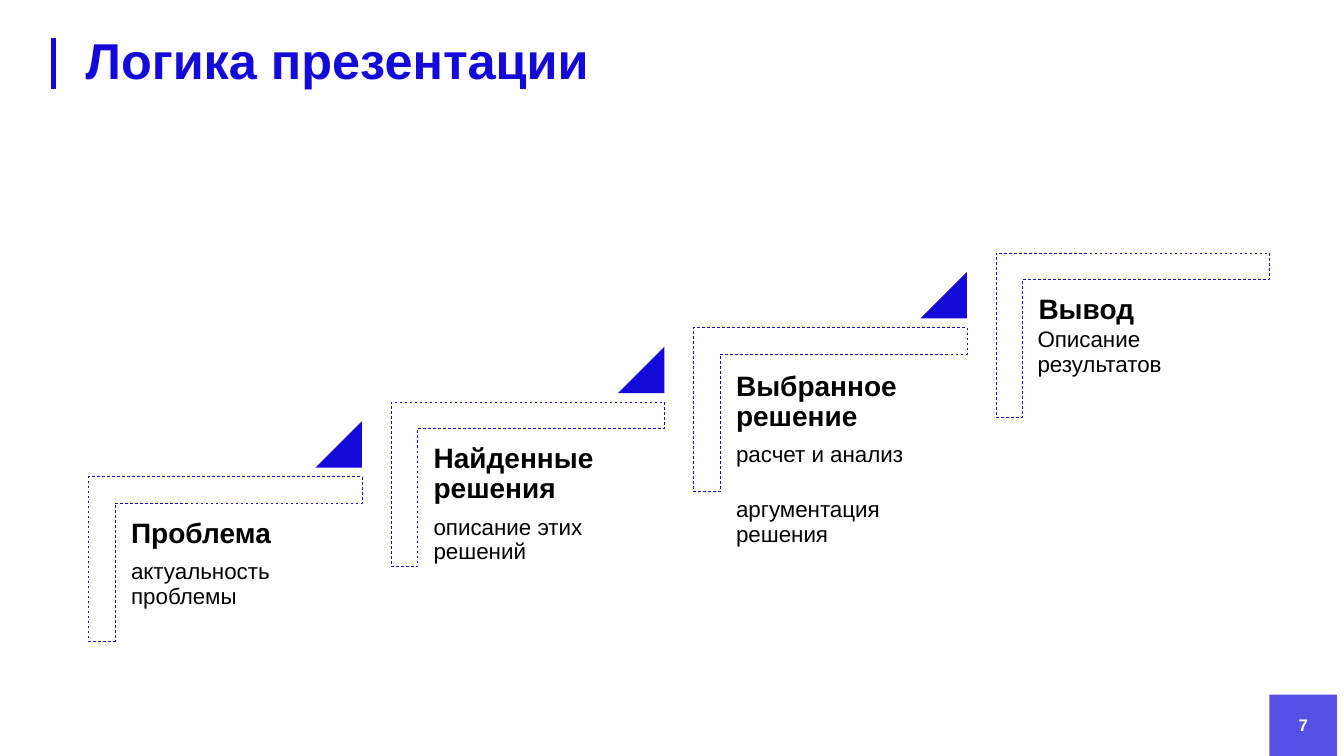
import dataclasses
import typing

import pptx
import pptx.dml.color
import pptx.enum.dml
import pptx.enum.shapes
import pptx.enum.text
import pptx.oxml.ns
import pptx.shapes.autoshape
import pptx.slide
import pptx.text.text
import pptx.util
from lxml import etree

Inches = pptx.util.Inches
Box = typing.Tuple[float, float, float, float]
Color = pptx.dml.color.RGBColor
Shape = pptx.enum.shapes.MSO_SHAPE
Anchor = pptx.enum.text.MSO_ANCHOR
Align = pptx.enum.text.PP_ALIGN


@dataclasses.dataclass(frozen=True)
class Theme:
    blue: Color = Color(0x13, 0x09, 0xD9)
    black: Color = Color(0, 0, 0)
    white: Color = Color(255, 255, 255)
    font: str = "Arial"
    title: int = 36
    head: int = 20
    note: int = 16
    page: int = 12


@dataclasses.dataclass(frozen=True)
class Line:
    text: str
    size: int
    bold: bool = False
    after: float = 3


@dataclasses.dataclass(frozen=True)
class Step:
    lines: typing.Tuple[Line, ...]
    drop: float = 0.81  # from the top of the corner's frame to the text


THEME = Theme()


def head(text: str) -> Line:
    return Line(text, THEME.head, bold=True, after=8)


STEPS = (
    Step((head("Проблема"), Line("актуальность проблемы", THEME.note))),
    Step((head("Найденные решения"), Line("описание этих решений", THEME.note))),
    Step((head("Выбранное решение"),
          Line("расчет и анализ", THEME.note, after=22),
          Line("аргументация решения", THEME.note)), drop=0.83),
    Step((head("Вывод"),)),
)
RESULT = Line("Описание результатов", THEME.note)
RUN, RISE = 3.0, 0.74  # offset from one step to the next


def place(box: Box) -> typing.List[pptx.util.Length]:
    return [Inches(side) for side in box]


def style(para: pptx.text.text._Paragraph, size: int, color: Color, bold: bool) -> None:
    font = para.font
    font.name, font.size, font.bold = THEME.font, pptx.util.Pt(size), bold
    font.color.rgb = color


def add_form(slide: pptx.slide.Slide, kind: Shape, box: Box,
             fill: typing.Optional[Color] = None) -> pptx.shapes.autoshape.Shape:
    """Add a preset shape with no outline, and no fill unless one is given."""
    form = slide.shapes.add_shape(kind, *place(box))
    form.shadow.inherit = False
    form.line.fill.background()
    if fill is None:
        form.fill.background()
    else:
        form.fill.solid()
        form.fill.fore_color.rgb = fill
    return form


def add_text(slide: pptx.slide.Slide, box: Box, lines: typing.Sequence[Line],
             anchor: Anchor = Anchor.TOP) -> None:
    frame = slide.shapes.add_textbox(*place(box)).text_frame
    frame.word_wrap = True
    frame.vertical_anchor = anchor
    frame.margin_left = frame.margin_right = Inches(0.15)
    frame.margin_top = frame.margin_bottom = Inches(0.15)
    frame.text = "\n".join(line.text for line in lines)
    for para, line in zip(frame.paragraphs, lines):
        para.line_spacing = 0.9
        para.space_after = pptx.util.Pt(line.after)
        style(para, line.size, THEME.black, line.bold)


def add_title(slide: pptx.slide.Slide) -> None:
    bar = slide.shapes.add_connector(pptx.enum.shapes.MSO_CONNECTOR.STRAIGHT,
                                     *place((0.53, 0.38, 0.53, 0.88)))
    bar.line.color.rgb = THEME.blue
    bar.line.width = pptx.util.Pt(3)
    etree.SubElement(bar._element.spPr, pptx.oxml.ns.qn("a:effectLst"))

    title = slide.shapes.title
    title.left, title.top, title.width, title.height = place((0.75, 0.35, 11.13, 0.55))
    frame = title.text_frame
    frame.text = "Логика презентации"
    frame.auto_size = pptx.enum.text.MSO_AUTO_SIZE.NONE
    frame.vertical_anchor = Anchor.MIDDLE
    para = frame.paragraphs[0]
    para.alignment = Align.LEFT
    para.line_spacing = 0.9
    style(para, THEME.title, THEME.blue, True)


def add_page(slide: pptx.slide.Slide) -> None:
    """Add the page number on its tinted square."""
    tile = add_form(slide, Shape.RECTANGLE, (12.59, 6.89, 0.67, 0.61), THEME.blue)
    tint = tile._element.spPr.find(".//" + pptx.oxml.ns.qn("a:srgbClr"))
    etree.SubElement(tint, pptx.oxml.ns.qn("a:alpha"), val="71000")
    frame = slide.shapes.add_textbox(*place((12.59, 6.99, 0.67, 0.4))).text_frame
    frame.word_wrap = True
    frame.vertical_anchor = Anchor.MIDDLE
    frame.text = "7"
    para = frame.paragraphs[0]
    para.alignment = Align.CENTER
    style(para, THEME.page, THEME.white, True)


def add_corner(slide: pptx.slide.Slide, x: float, y: float) -> None:
    """Add the dashed bracket; its preset has no member in MSO_SHAPE."""
    corner = add_form(slide, Shape.HALF_FRAME, (x, y, 1.63, 2.71))
    corner.adjustments[0] = corner.adjustments[1] = 0.161
    corner._element.spPr.find(pptx.oxml.ns.qn("a:prstGeom")).set("prst", "corner")
    corner.rotation = 90
    corner.line.color.rgb = THEME.blue
    corner.line.width = pptx.util.Pt(0.5)
    corner.line.dash_style = pptx.enum.dml.MSO_LINE.DASH


def add_step(slide: pptx.slide.Slide, step: Step, x: float, y: float,
             last: bool) -> None:
    add_corner(slide, x, y)
    add_text(slide, (x - 0.27, y + step.drop, 2.45, 2.15), step.lines)
    if not last:
        arrow = add_form(slide, Shape.ISOSCELES_TRIANGLE,
                         (x + 1.71, y - 0.01, 0.46, 0.46), THEME.blue)
        arrow.adjustments[0] = 1


def main() -> None:
    deck = pptx.Presentation()
    deck.slide_width, deck.slide_height = Inches(13.33), Inches(7.5)
    slide = deck.slides.add_slide(deck.slide_layouts[5])
    add_title(slide)
    add_page(slide)
    for i, step in enumerate(STEPS):
        add_step(slide, step, 1.42 + RUN * i, 4.19 - RISE * i, i == len(STEPS) - 1)
    add_text(slide, (10.14, 3.13, 2.45, 0.76), (RESULT,), Anchor.BOTTOM)
    deck.save("out.pptx")


if __name__ == "__main__":
    main()
